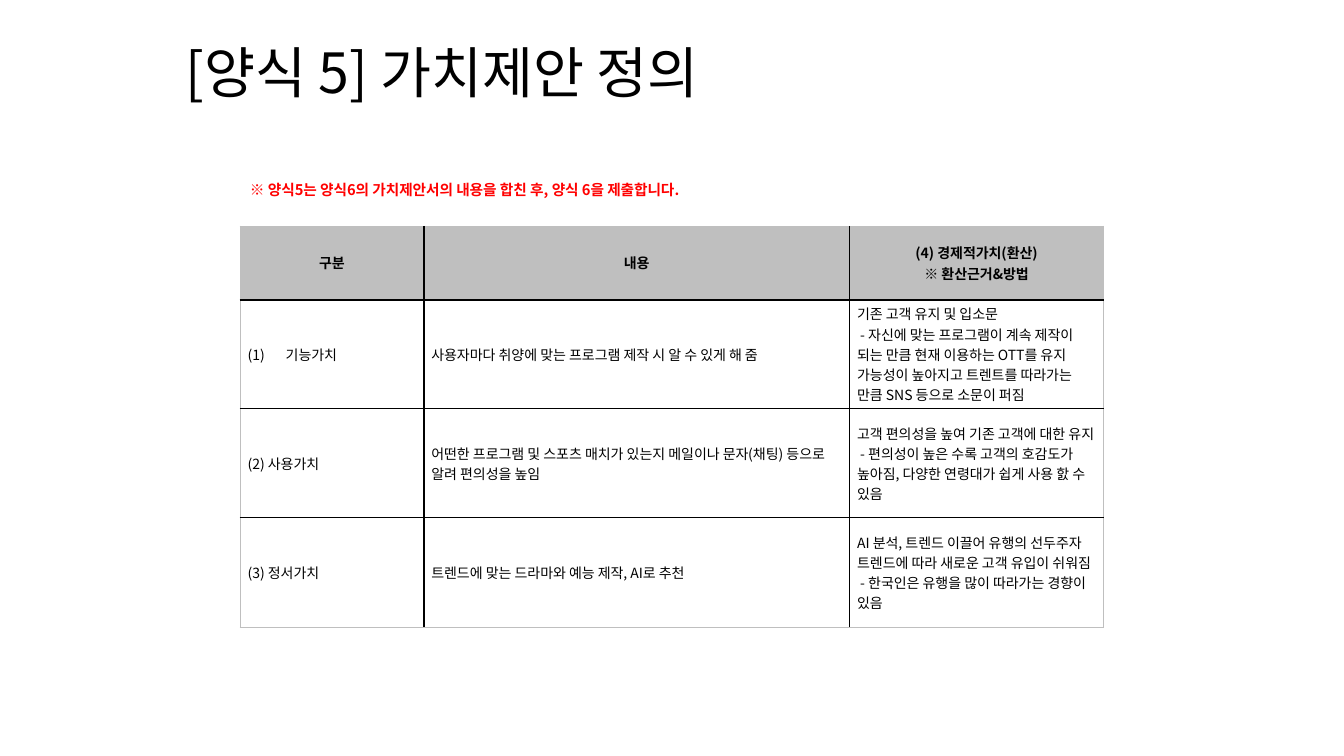
import copy
import pptx
import pptx.util
import pptx.dml.color
import pptx.enum.text
import pptx.oxml
import pptx.oxml.ns

Cm, Pt = pptx.util.Cm, pptx.util.Pt
ALIGN = pptx.enum.text.PP_ALIGN
ANCHOR = pptx.enum.text.MSO_ANCHOR
qn = pptx.oxml.ns.qn

TITLE = "[양식 5] 가치제안 정의"
NOTICE = "※ 양식5는 양식6의 가치제안서의 내용을 합친 후, 양식 6을 제출합니다."
ROWS = [
    (["구분"], ["내용"], ["(4) 경제적가치(환산)\n※ 환산근거&방법"]),
    (["기능가치"],
     ["사용자마다 취양에 맞는 프로그램 제작 시 알 수 있게 해 줌"],
     ["기존 고객 유지 및 입소문",
      " - 자신에 맞는 프로그램이 계속 제작이 되는 만큼 현재 이용하는 OTT를 유지 가능성이 높아지고 트렌트를 따라가는 만큼 SNS 등으로 소문이 퍼짐"]),
    (["(2) 사용가치"],
     ["어떤한 프로그램 및 스포츠 매치가 있는지 메일이나 문자(채팅) 등으로 알려 편의성을 높임"],
     ["고객 편의성을 높여 기존 고객에 대한 유지",
      " - 편의성이 높은 수록 고객의 호감도가 높아짐, 다양한 연령대가 쉽게 사용 핤 수 있음"]),
    (["(3) 정서가치"],
     ["트렌드에 맞는 드라마와 예능 제작, AI로 추천"],
     ["AI 분석, 트렌드 이끌어 유행의 선두주자",
      "트렌드에 따라 새로운 고객 유입이 쉬워짐",
      " - 한국인은 유행을 많이 따라가는 경향이 있음"]),
]
NUMBERED_CELL = (1, 0)
COLUMN_WIDTHS = [4.63, 10.73, 6.4]
ROW_HEIGHTS = [1.85, 2.75, 2.75, 2.75]
COLORS = {"text": "000000", "notice": "FF0000", "header": "BFBFBF",
          "rule": "000000", "edge": "BFBFBF"}
FONT = "Noto Sans CJK KR"


def write(frame, paragraphs, size=10, color="text", bold=False, align=ALIGN.LEFT,
          spacing=None, numbered=False):
    frame.word_wrap = True
    for index, words in enumerate(paragraphs):
        paragraph = frame.add_paragraph() if index else frame.paragraphs[0]
        paragraph.text = words
        paragraph.alignment = align
        if spacing:
            paragraph.line_spacing = spacing
        if numbered:
            properties = paragraph._p.get_or_add_pPr()
            properties.set("marL", str(Cm(0.96)))
            properties.set("indent", str(-Cm(0.96)))
            number = pptx.oxml.ns.nsdecls("a")
            properties.append(pptx.oxml.parse_xml(
                f'<a:buAutoNum {number} type="arabicParenBoth"/>'))
        for run in paragraph.runs:
            run.font.size = Pt(size)
            run.font.bold = bold
            run.font.name = FONT
            run.font.color.rgb = pptx.dml.color.RGBColor.from_string(COLORS[color])
            run.font._element.set("kern", "0")
            east_asian = run.font._element.makeelement(qn("a:ea"), {"typeface": FONT})
            run.font._element.append(east_asian)
        for line_break in paragraph._p.findall(qn("a:br")):
            line_break.insert(0, copy.deepcopy(paragraph.runs[0].font._element))


def set_borders(cell, sides):
    properties = cell._tc.get_or_add_tcPr()
    for index, (side, (color, width)) in enumerate(sides.items()):
        properties.insert(index, pptx.oxml.parse_xml(
            f'<a:ln{side} {pptx.oxml.ns.nsdecls("a")} w="{Pt(width)}"><a:solidFill>'
            f'<a:srgbClr val="{COLORS[color]}"/></a:solidFill></a:ln{side}>'))


def main():
    deck = pptx.Presentation()
    deck.slide_width, deck.slide_height = Cm(33.87), Cm(19.05)
    slide = deck.slides.add_slide(deck.slide_layouts[5])

    title = slide.shapes.title
    title.left, title.top, title.width, title.height = Cm(4.42), Cm(1.36), Cm(24.84), Cm(1.07)
    title.text_frame.auto_size = pptx.enum.text.MSO_AUTO_SIZE.NONE
    title.text_frame.vertical_anchor = ANCHOR.MIDDLE
    write(title.text_frame, [TITLE], size=39.6, spacing=0.9)

    value_table = slide.shapes.add_table(
        len(ROWS), len(COLUMN_WIDTHS), Cm(6.05), Cm(5.7),
        Cm(sum(COLUMN_WIDTHS)), Cm(sum(ROW_HEIGHTS))).table
    value_table.first_row = value_table.horz_banding = False
    for column, width in zip(value_table.columns, COLUMN_WIDTHS):
        column.width = Cm(width)
    for row, height in zip(value_table.rows, ROW_HEIGHTS):
        row.height = Cm(height)

    edge, thin, thick = ("edge", 0.75), ("rule", 1), ("rule", 1.5)
    vertical_rules = [edge, thick, thin, edge]
    horizontal_rules = [edge, thick, thin, thin, edge]
    for r, row in enumerate(ROWS):
        for c, paragraphs in enumerate(row):
            cell = value_table.cell(r, c)
            is_header = r == 0
            cell.margin_left = cell.margin_right = Cm(0.19)
            cell.margin_top = cell.margin_bottom = Cm(0.1)
            cell.vertical_anchor = ANCHOR.MIDDLE
            set_borders(cell, {"L": vertical_rules[c], "R": vertical_rules[c + 1],
                               "T": horizontal_rules[r], "B": horizontal_rules[r + 1]})
            if is_header:
                cell.fill.solid()
                cell.fill.fore_color.rgb = pptx.dml.color.RGBColor.from_string(COLORS["header"])
            else:
                cell.fill.background()
            write(cell.text_frame, paragraphs, bold=is_header,
                  align=ALIGN.CENTER if is_header else ALIGN.LEFT,
                  numbered=(r, c) == NUMBERED_CELL)

    notice = slide.shapes.add_textbox(Cm(6.05), Cm(4.42), Cm(20.78), Cm(0.71))
    write(notice.text_frame, [NOTICE], size=10.5, color="notice", bold=True)

    deck.save("out.pptx")


if __name__ == "__main__":
    main()
